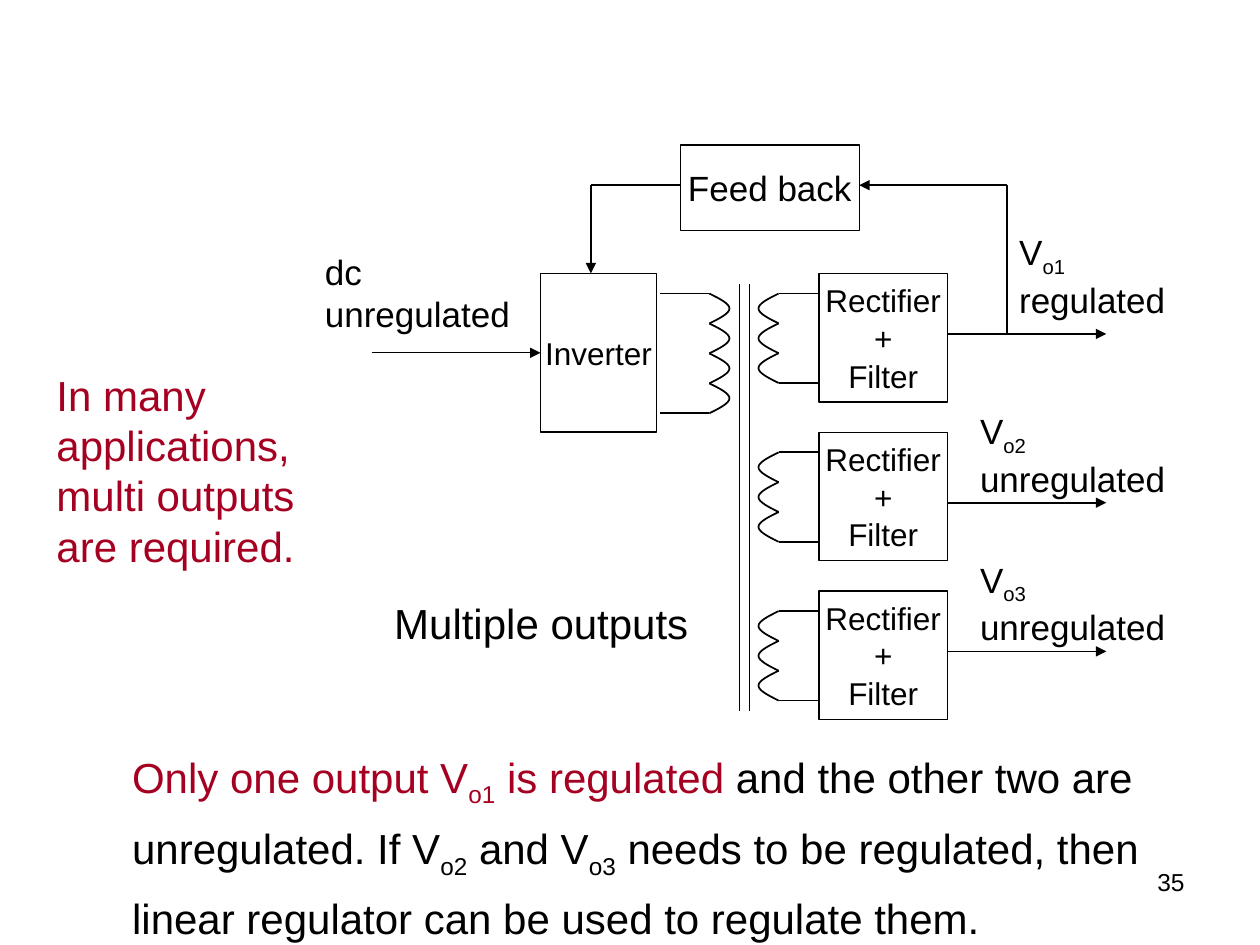
from lxml import etree
from pptx import Presentation
from pptx.dml.color import RGBColor
from pptx.enum.shapes import MSO_CONNECTOR, MSO_SHAPE
from pptx.enum.text import MSO_ANCHOR, MSO_AUTO_SIZE, PP_ALIGN
from pptx.oxml.ns import qn
from pptx.util import Inches, Pt

RECTANGLE = MSO_SHAPE.RECTANGLE
STRAIGHT = MSO_CONNECTOR.STRAIGHT
MIDDLE = MSO_ANCHOR.MIDDLE
GROW = MSO_AUTO_SIZE.SHAPE_TO_FIT_TEXT
LEFT, CENTER, RIGHT = PP_ALIGN.LEFT, PP_ALIGN.CENTER, PP_ALIGN.RIGHT
LEFT_SIDE = 1
BLACK, RED = "000000", "A50021"


def rgb(hex_colour):
    return RGBColor.from_string(hex_colour)


def write_text(frame, text, size=20, colour=BLACK, align=LEFT, spacing=None, lead="", lead_colour=RED):
    """Fill a frame; ~x~ marks a subscript, and lead opens the text in its own colour."""
    for number, line in enumerate(text.split("\n")):
        paragraph = frame.paragraphs[0] if number == 0 else frame.add_paragraph()
        paragraph.alignment = align
        if spacing:
            paragraph.line_spacing = spacing
        parts = [(line, colour)]
        if lead and number == 0:
            parts.insert(0, (lead, lead_colour))
        for part, part_colour in parts:
            for position, piece in enumerate(part.split("~")):
                if not piece:
                    continue
                run = paragraph.add_run()
                run.text = piece
                run.font.name = "Arial"
                run.font.size = Pt(size)
                run.font.color.rgb = rgb(part_colour)
                if position % 2:
                    run._r.get_or_add_rPr().set("baseline", "-25000")


def bend_segments(freeform):
    """Turn every three straight segments into one cubic Bezier curve."""
    segments = list(freeform._element.iter(qn("a:lnTo")))
    for first in range(0, len(segments), 3):
        curve = etree.Element(qn("a:cubicBezTo"))
        segments[first].addprevious(curve)
        for segment in segments[first:first + 3]:
            curve.append(segment[0])
            segment.getparent().remove(segment)


class Diagram:
    def __init__(self, slide):
        self.slide = slide
        self.thin = Pt(0.75)
        self.wire_width = Pt(1)

    def label(self, left, top, width, height, text, grow=True, **text_format):
        box = self.slide.shapes.add_textbox(Inches(left), Inches(top), Inches(width), Inches(height))
        box.text_frame.word_wrap = True
        if grow:
            box.text_frame.auto_size = GROW
        write_text(box.text_frame, text, **text_format)

    def block(self, left, top, width, height, text, size=18):
        block = self.slide.shapes.add_shape(
            RECTANGLE, Inches(left), Inches(top), Inches(width), Inches(height))
        block.shadow.inherit = False
        block.fill.background()
        block.line.color.rgb = rgb(BLACK)
        block.line.width = self.thin
        block.text_frame.word_wrap = False
        block.text_frame.vertical_anchor = MIDDLE
        write_text(block.text_frame, text, size=size, align=CENTER)
        return block

    def wire(self, x1, y1, x2, y2, arrow=False, thin=False):
        wire = self.slide.shapes.add_connector(STRAIGHT, Inches(x1), Inches(y1), Inches(x2), Inches(y2))
        wire.line.color.rgb = rgb(BLACK)
        wire.line.width = self.thin if thin else self.wire_width
        if arrow:
            etree.SubElement(wire.line._get_or_add_ln(), qn("a:tailEnd"), type="triangle")
        etree.SubElement(wire._element.spPr, qn("a:effectLst"))
        return wire

    def turn(self, x, top, height, reach):
        step = height / 6
        across = (0, 0.5, 1, 1, 1, 0.5, 0)
        start, *points = [(Inches(x + reach * share), Inches(top + step * number))
                          for number, share in enumerate(across)]
        builder = self.slide.shapes.build_freeform(*start)
        builder.add_line_segments(points, close=False)
        curve = builder.convert_to_shape()
        bend_segments(curve)
        curve.shadow.inherit = False
        curve.fill.background()
        curve.line.color.rgb = rgb(BLACK)
        curve.line.width = self.wire_width

    def winding(self, terminal, x, top, bottom, turns):
        """A coil bulging away from its terminals, with a lead at each end."""
        height = (bottom - top) / turns
        reach = 0.16 if x > terminal else -0.16
        for number in range(turns):
            self.turn(x, top + number * height, height, reach)
        for y in (top, bottom):
            self.wire(terminal, y, x, y)


def main():
    presentation = Presentation()
    presentation.slide_width, presentation.slide_height = Inches(10), Inches(7.5)
    diagram = Diagram(presentation.slides.add_slide(presentation.slide_layouts[6]))

    # Input, inverter and transformer
    inverter = diagram.block(4.29, 2.17, 0.92, 1.26, "Inverter")
    diagram.label(2.48, 1.94, 1.73, 0.77, "dc\nunregulated")
    supply = diagram.wire(2.95, 2.8, 4.29, 2.8, arrow=True, thin=True)
    supply.end_connect(inverter, LEFT_SIDE)
    diagram.winding(5.24, 5.63, 2.33, 3.28, turns=4)
    for core_x in (5.87, 5.95):
        diagram.wire(core_x, 2.25, core_x, 5.64, thin=True)

    # Three output stages
    outputs = [
        (2.65, 7.99, 1.78, 1.46, "V~o1~\nregulated"),
        (3.99, 7.68, 3.2, 1.73, "V~o2~\nunregulated"),
        (5.17, 7.68, 4.38, 1.73, "V~o3~\nunregulated"),
    ]
    for number, (output_y, left, top, width, text) in enumerate(outputs):
        stage_top = 2.17 + number * 1.26
        diagram.block(6.5, stage_top, 1.02, 1.02, "Rectifier\n+\nFilter")
        diagram.winding(6.5, 6.18, stage_top + 0.16, stage_top + 0.87, turns=3)
        diagram.wire(7.52, output_y, 8.78, output_y, arrow=True)
        diagram.label(left, top, width, 0.82, text)

    # Feedback loop
    diagram.block(5.4, 1.15, 1.42, 0.68, "Feed back", size=20)
    diagram.wire(7.99, 2.65, 7.99, 1.47)
    diagram.wire(7.99, 1.47, 6.82, 1.47, arrow=True)
    diagram.wire(4.69, 1.47, 5.4, 1.47)
    diagram.wire(4.69, 1.47, 4.69, 2.17, arrow=True)

    # Remarks
    diagram.label(3.03, 4.69, 2.68, 0.5, "Multiple outputs", size=24)
    diagram.label(
        0.95, 5.8, 8.19, 1.74,
        " and the other two are unregulated. If V~o2~ and V~o3~ needs to be regulated, "
        "then linear regulator can be used to regulate them.",
        size=24, spacing=1.25, lead="Only one output V~o1~ is regulated")
    diagram.label(0.35, 2.88, 2.2, 1.7, "In many applications, multi outputs are required.",
                  size=24, colour=RED)
    diagram.label(7.17, 6.83, 2.33, 0.52, "35", grow=False, size=14, align=RIGHT)

    presentation.save("out.pptx")


if __name__ == "__main__":
    main()
